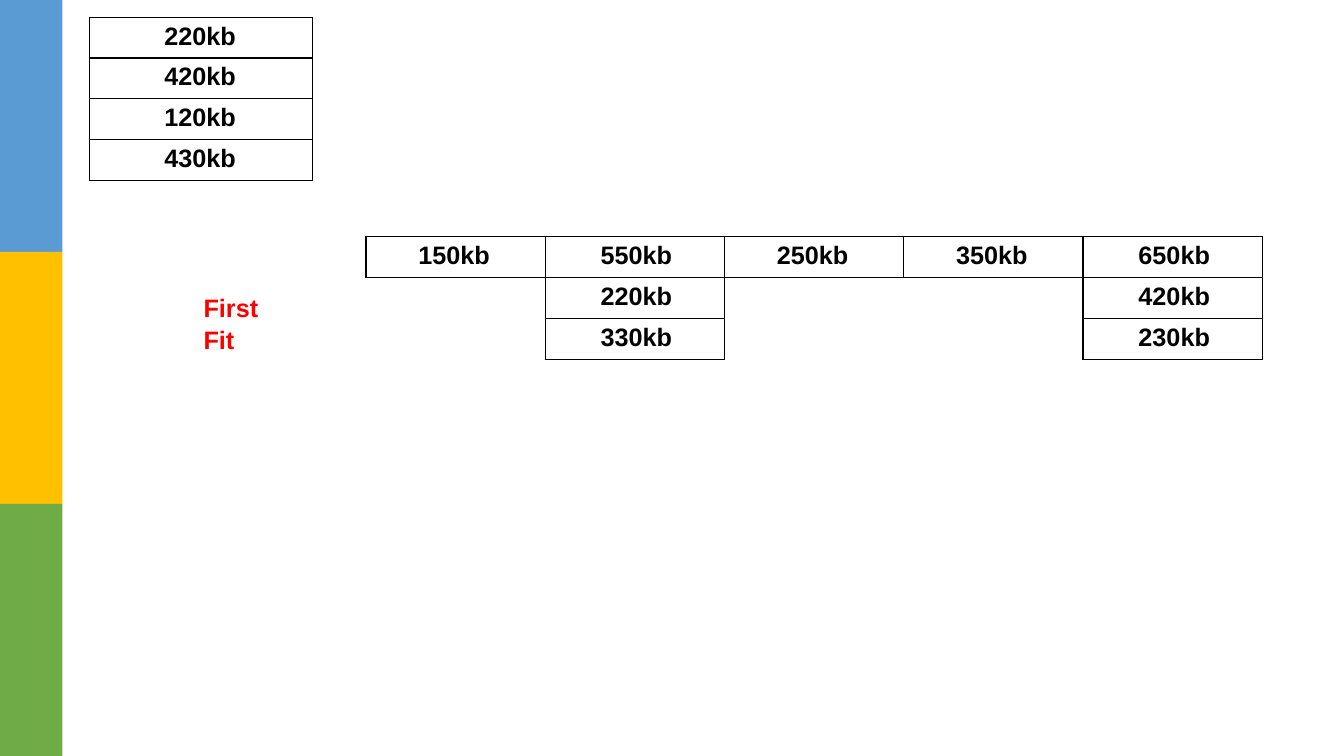
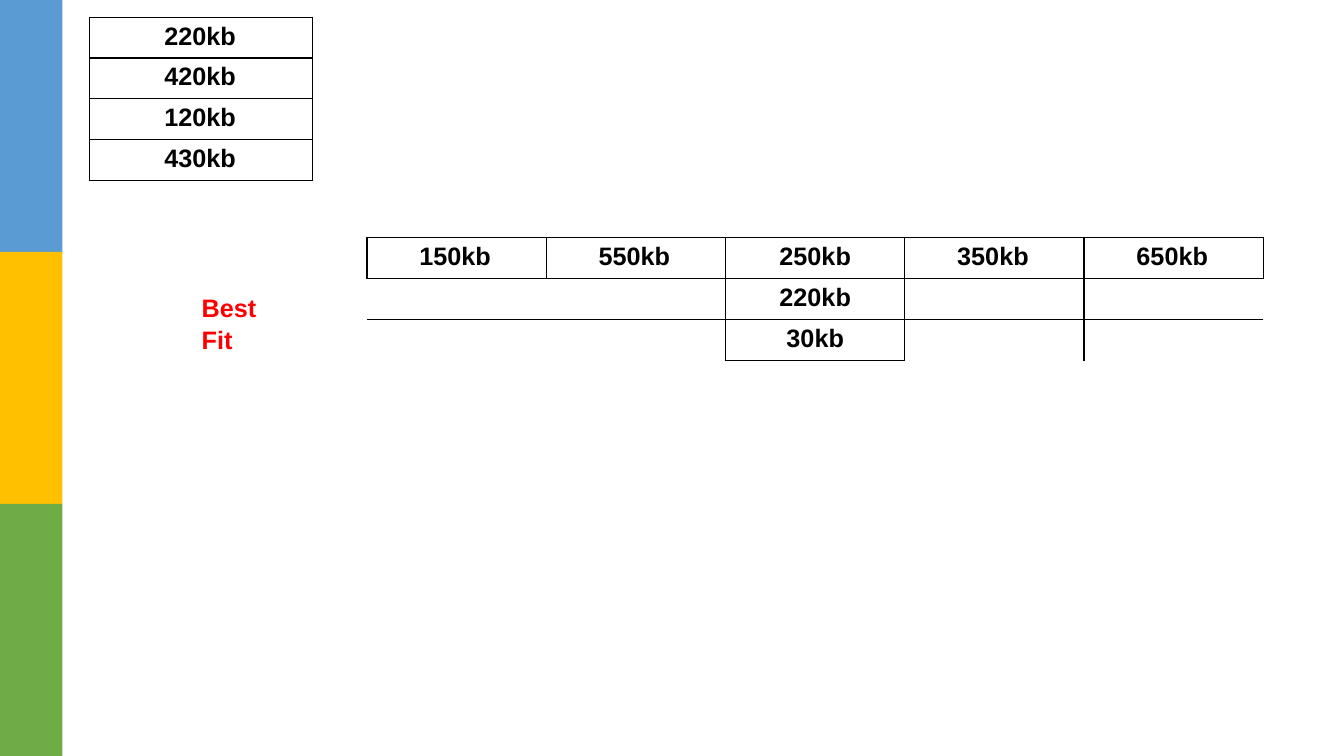
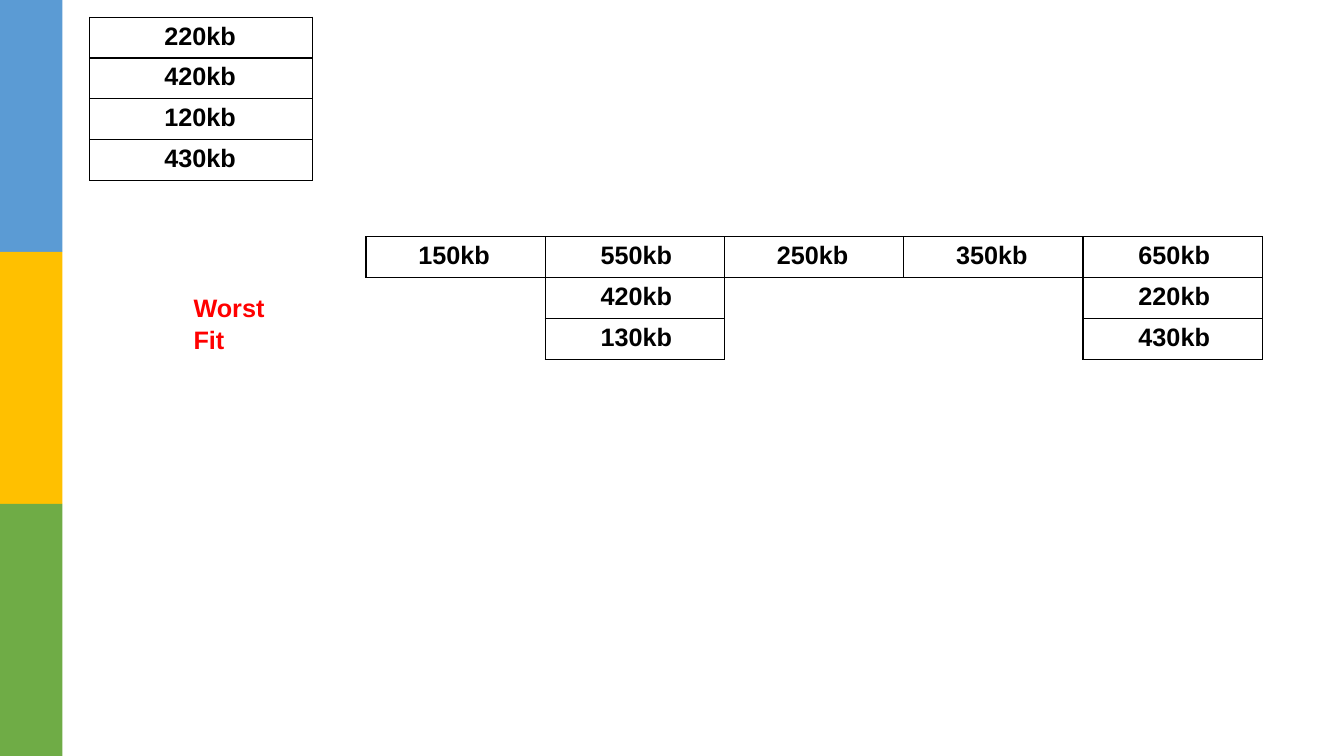
from pptx import Presentation
from pptx.dml.color import RGBColor
from pptx.enum.shapes import MSO_SHAPE
from pptx.enum.text import MSO_ANCHOR, MSO_AUTO_SIZE, PP_ALIGN
from pptx.oxml import parse_xml
from pptx.oxml.ns import nsdecls
from pptx.util import Emu, Pt

RECTANGLE = MSO_SHAPE.RECTANGLE
TOP = MSO_ANCHOR.TOP
GROW = MSO_AUTO_SIZE.SHAPE_TO_FIT_TEXT
LEFT, CENTER, RIGHT = PP_ALIGN.LEFT, PP_ALIGN.CENTER, PP_ALIGN.RIGHT

# Colours and shared formats
BLUE = RGBColor(0x5B, 0x9B, 0xD4)
YELLOW = RGBColor(0xFF, 0xC0, 0x00)
GREEN = RGBColor(0x6F, 0xAC, 0x46)
RED = RGBColor(0xFF, 0x00, 0x00)
BLACK = RGBColor(0x00, 0x00, 0x00)
FONT = {"name": "Arial", "size": Pt(18), "bold": True}
PLAIN_TABLE_STYLE = "{2D5ABB26-0587-4C30-8999-92F81FD0307C}"
BORDER_WIDTH = Pt(1)

# Lengths in px, 100 to the inch
SCALE = 9144
SLIDE_WIDTH, SLIDE_HEIGHT = 1333, 750
BAND_WIDTH = 62

# Alignment, left margin and right margin of cell text
PROCESS_CELL = (LEFT, 74, 0)
INDENTED_CELL = (LEFT, 52, 0)
CENTERED_CELL = (CENTER, 0, 0)
RIGHT_CELL = (RIGHT, 0, 52)

PROCESSES = [["220kb"], ["420kb"], ["120kb"], ["430kb"]]
BLOCKS = ["150kb", "550kb", "250kb", "350kb", "650kb"]
SPLIT_STYLES = [INDENTED_CELL, RIGHT_CELL, INDENTED_CELL, INDENTED_CELL, RIGHT_CELL]
BEST_STYLES = [INDENTED_CELL, INDENTED_CELL, CENTERED_CELL, INDENTED_CELL, INDENTED_CELL]
EMPTY_AREAS = [((1, 0), (2, 0)), ((1, 2), (2, 3))]


def px(length):
    return Emu(length * SCALE)


def set_all(target, values):
    for name, value in values.items():
        setattr(target, name, value)


def format_text(paragraph, color, alignment):
    paragraph.alignment = alignment
    set_all(paragraph.font, FONT)
    paragraph.font.color.rgb = color


def add_master_bands(presentation, slide):
    """Draw the side bands once and hand them to the slide master."""
    master_tree = presentation.slide_master.shapes._spTree
    height = SLIDE_HEIGHT // 3
    for index, color in enumerate((BLUE, YELLOW, GREEN)):
        band = slide.shapes.add_shape(
            RECTANGLE, 0, px(index * height), px(BAND_WIDTH), px(height))
        band.shadow.inherit = False
        band.fill.solid()
        band.fill.fore_color.rgb = color
        band.line.fill.background()
        band._element.nvSpPr.cNvPr.set("id", str(100 + index))
        master_tree.insert(2 + index, band._element)


def add_border(cell, side):
    cell._tc.get_or_add_tcPr().append(parse_xml(
        f'<a:ln{side} {nsdecls("a")} w="{BORDER_WIDTH}"><a:solidFill>'
        f'<a:srgbClr val="{BLACK}"/></a:solidFill></a:ln{side}>'))


def add_grid(slide, box, rows, styles, empty_areas=(), wall_columns=()):
    """Frame every cell with text; wall columns have a full left border."""
    left, top, width, height = map(px, box)
    frame = slide.shapes.add_table(len(rows), len(styles), left, top, width, height)
    table = frame.table
    set_all(table, {"first_row": False, "horz_banding": False})
    table._tbl.tblPr[0].text = PLAIN_TABLE_STYLE
    filled = {(row, column) for row, values in enumerate(rows)
              for column, value in enumerate(values) if value}

    for row, values in enumerate(rows):
        for column, value in enumerate(values):
            cell = table.cell(row, column)
            alignment, margin_left, margin_right = styles[column]
            set_all(cell, {"margin_left": px(margin_left), "margin_top": px(5),
                           "margin_right": px(margin_right), "margin_bottom": 0})
            neighbours = {"L": (row, column - 1), "R": (row, column + 1),
                          "T": (row - 1, column), "B": (row + 1, column)}
            walls = {"L": column in wall_columns, "R": column + 1 in wall_columns}
            for side, neighbour in neighbours.items():
                if walls.get(side) or filled & {(row, column), neighbour}:
                    add_border(cell, side)
            cell.fill.background()
            if value:
                cell.text = value
                format_text(cell.text_frame.paragraphs[0], BLACK, alignment)

    for first, last in empty_areas:
        table.cell(*first).merge(table.cell(*last))


def place_title(slide, text, left, width):
    title = slide.shapes.title
    set_all(title, {"left": px(left), "top": px(287),
                    "width": px(width), "height": px(33)})
    text_frame = title.text_frame
    text_frame.text = text
    set_all(text_frame, {"margin_left": px(1), "margin_top": px(1),
                         "margin_right": 0, "margin_bottom": 0, "word_wrap": True,
                         "vertical_anchor": TOP, "auto_size": GROW})
    paragraph = text_frame.paragraphs[0]
    paragraph.line_spacing = 1.07
    format_text(paragraph, RED, LEFT)


def add_fit_slide(presentation, title, title_left, title_width):
    slide = presentation.slides.add_slide(presentation.slide_layouts[5])
    place_title(slide, title, title_left, title_width)
    add_grid(slide, (89, 17, 221, 162), PROCESSES, [PROCESS_CELL])
    return slide


def add_split_blocks(slide, second_block, last_block):
    """Memory table in which the 550kb and 650kb blocks are divided."""
    parts = [["", second, "", "", last]
             for second, last in zip(second_block, last_block)]
    add_grid(slide, (363, 235, 889, 122), [BLOCKS] + parts, SPLIT_STYLES, EMPTY_AREAS)


def main():
    presentation = Presentation()
    set_all(presentation, {"slide_width": px(SLIDE_WIDTH),
                           "slide_height": px(SLIDE_HEIGHT)})

    # First fit
    slide = add_fit_slide(presentation, "First Fit", 201, 80)
    add_master_bands(presentation, slide)
    add_split_blocks(slide, ("220kb", "330kb"), ("420kb", "230kb"))

    # Best fit
    slide = add_fit_slide(presentation, "Best Fit", 199, 84)
    parts = [["", "", part, "", ""] for part in ("220kb", "30kb")]
    add_grid(slide, (364, 236, 889, 122), [BLOCKS] + parts, BEST_STYLES,
             wall_columns=(4,))

    # Worst fit
    slide = add_fit_slide(presentation, "Worst Fit", 191, 100)
    add_split_blocks(slide, ("420kb", "130kb"), ("220kb", "430kb"))

    presentation.save("out.pptx")


if __name__ == "__main__":
    main()
